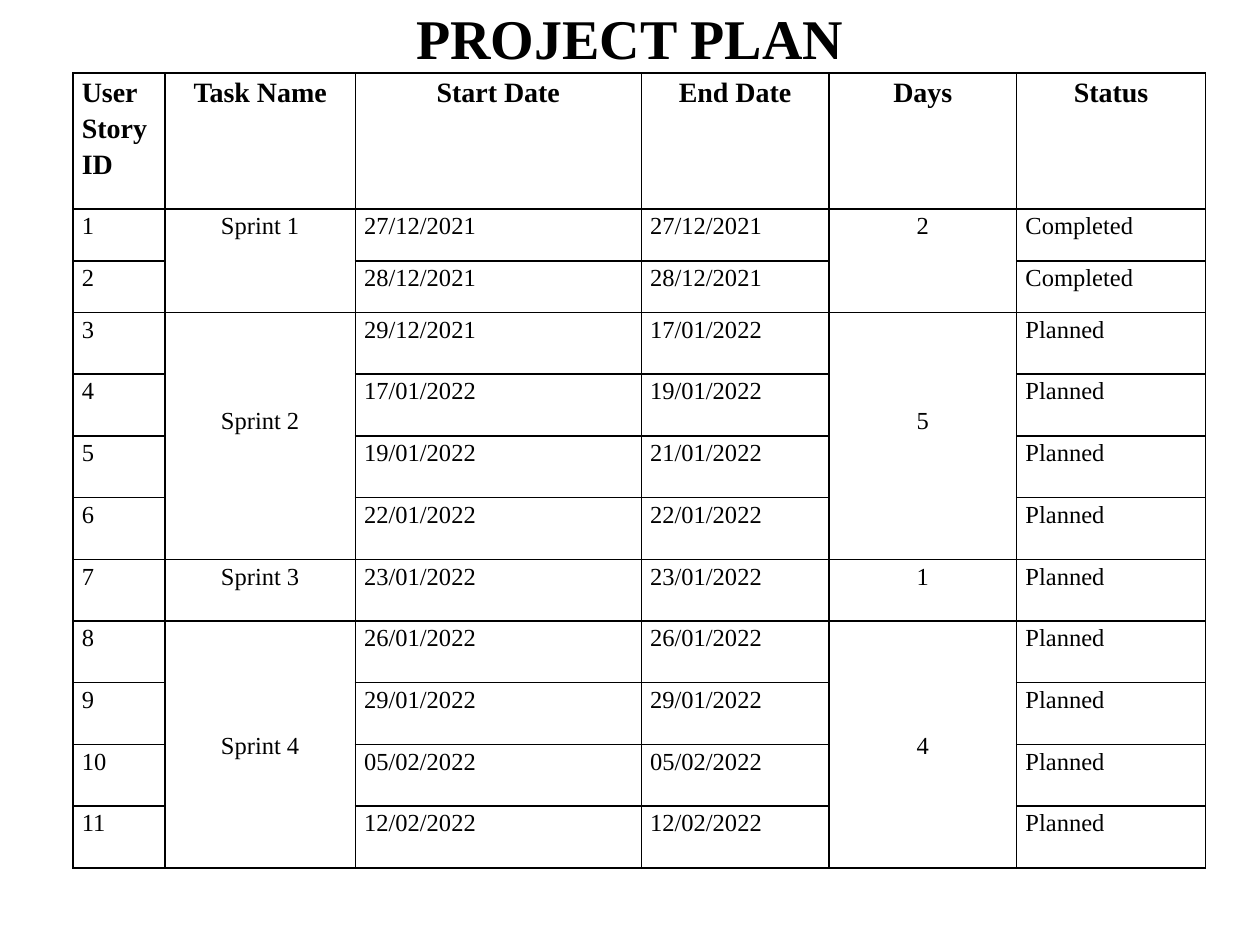
from pptx import Presentation
from pptx.dml.color import RGBColor
from pptx.enum.text import MSO_ANCHOR as Anchor, PP_ALIGN as Align
from pptx.oxml import parse_xml
from pptx.oxml.ns import nsdecls
from pptx.util import Inches, Pt

FONT = "Times New Roman"
COLORS = {"ink": "000000"}
COL_WIDTHS = [0.73, 1.51, 2.27, 1.49, 1.49, 1.5]
ROW_HEIGHTS = [1.08] + [0.41] * 2 + [0.49] * 9
CENTERED = (1, 4)
HEADERS = ["User Story ID", "Task Name", "Start Date", "End Date", "Days", "Status"]
SPRINTS = [
    ("Sprint 1", "2", "Completed", [
        ("27/12/2021", "27/12/2021"),
        ("28/12/2021", "28/12/2021")]),
    ("Sprint 2", "5", "Planned", [
        ("29/12/2021", "17/01/2022"),
        ("17/01/2022", "19/01/2022"),
        ("19/01/2022", "21/01/2022"),
        ("22/01/2022", "22/01/2022")]),
    ("Sprint 3", "1", "Planned", [
        ("23/01/2022", "23/01/2022")]),
    ("Sprint 4", "4", "Planned", [
        ("26/01/2022", "26/01/2022"),
        ("29/01/2022", "29/01/2022"),
        ("05/02/2022", "05/02/2022"),
        ("12/02/2022", "12/02/2022")]),
]


def add_run(p, text, size, bold=False):
    """Add one run in the slide's font."""
    r = p.add_run()
    r.text = text
    r.font.name, r.font.size, r.font.bold = FONT, Pt(size), bold
    r.font.color.rgb = RGBColor.from_string(COLORS["ink"])


def add_title(s, text):
    """Place and fill the title placeholder."""
    sp = s.shapes.title
    sp.left, sp.top = Inches(0.5), Inches(-0.33)
    sp.width, sp.height = Inches(9), Inches(1.25)
    tf = sp.text_frame
    tf.vertical_anchor = Anchor.MIDDLE
    p = tf.paragraphs[0]
    p.alignment = Align.CENTER
    add_run(p, text, 32, True)


def style_cell(cell):
    """Give a cell thin borders, no fill and narrow margins."""
    tc_pr = cell._tc.get_or_add_tcPr()
    for side in ("lnL", "lnR", "lnT", "lnB"):
        tc_pr.append(parse_xml(
            f'<a:{side} {nsdecls("a")} w="{Pt(1)}"><a:solidFill>'
            f'<a:srgbClr val="{COLORS["ink"]}"/></a:solidFill></a:{side}>'))
    cell.fill.background()
    cell.margin_left = cell.margin_right = Inches(0.07)
    cell.margin_top = cell.margin_bottom = 0


def write_cell(cell, text, size=14, bold=False, centered=False):
    """Write one paragraph into a cell."""
    p = cell.text_frame.paragraphs[0]
    p.line_spacing = 1.15
    p.alignment = Align.CENTER if centered else Align.LEFT
    add_run(p, text, size, bold)


def add_plan_table(s):
    """Add the empty bordered grid."""
    frame = s.shapes.add_table(
        len(ROW_HEIGHTS), len(COL_WIDTHS), Inches(0.58), Inches(0.58),
        Inches(sum(COL_WIDTHS)), Inches(sum(ROW_HEIGHTS)))
    table = frame.table
    table.first_row = table.horz_banding = False
    for col, width in zip(table.columns, COL_WIDTHS):
        col.width = Inches(width)
    for row, height in zip(table.rows, ROW_HEIGHTS):
        row.height = Inches(height)
    for cell in table.iter_cells():
        style_cell(cell)
    return table


def fill_sprint(table, top, sprint):
    """Write a sprint's stories from row top and return the next free row."""
    name, days, status, stories = sprint
    end = top + len(stories)
    for row, (start_date, end_date) in enumerate(stories, top):
        for col, text in ((0, str(row)), (2, start_date), (3, end_date), (5, status)):
            write_cell(table.cell(row, col), text)
    for col, text in zip(CENTERED, (name, days)):
        cell = table.cell(top, col)
        if len(stories) > 1:
            cell.merge(table.cell(end - 1, col))
        if len(stories) > 2:
            cell.vertical_anchor = Anchor.MIDDLE
        if name == "Sprint 2":
            cell.margin_bottom = Inches(0.27)
        write_cell(cell, text, centered=True)
    return end


def main():
    """Build the project plan slide."""
    prs = Presentation()
    prs.slide_width, prs.slide_height = Inches(10), Inches(7.5)
    s = prs.slides.add_slide(prs.slide_layouts[5])
    add_title(s, "PROJECT PLAN")
    table = add_plan_table(s)
    for col, text in enumerate(HEADERS):
        write_cell(table.cell(0, col), text, 16, True, col > 0)
    row = 1
    for sprint in SPRINTS:
        row = fill_sprint(table, row, sprint)
    prs.save("out.pptx")


if __name__ == "__main__":
    main()
